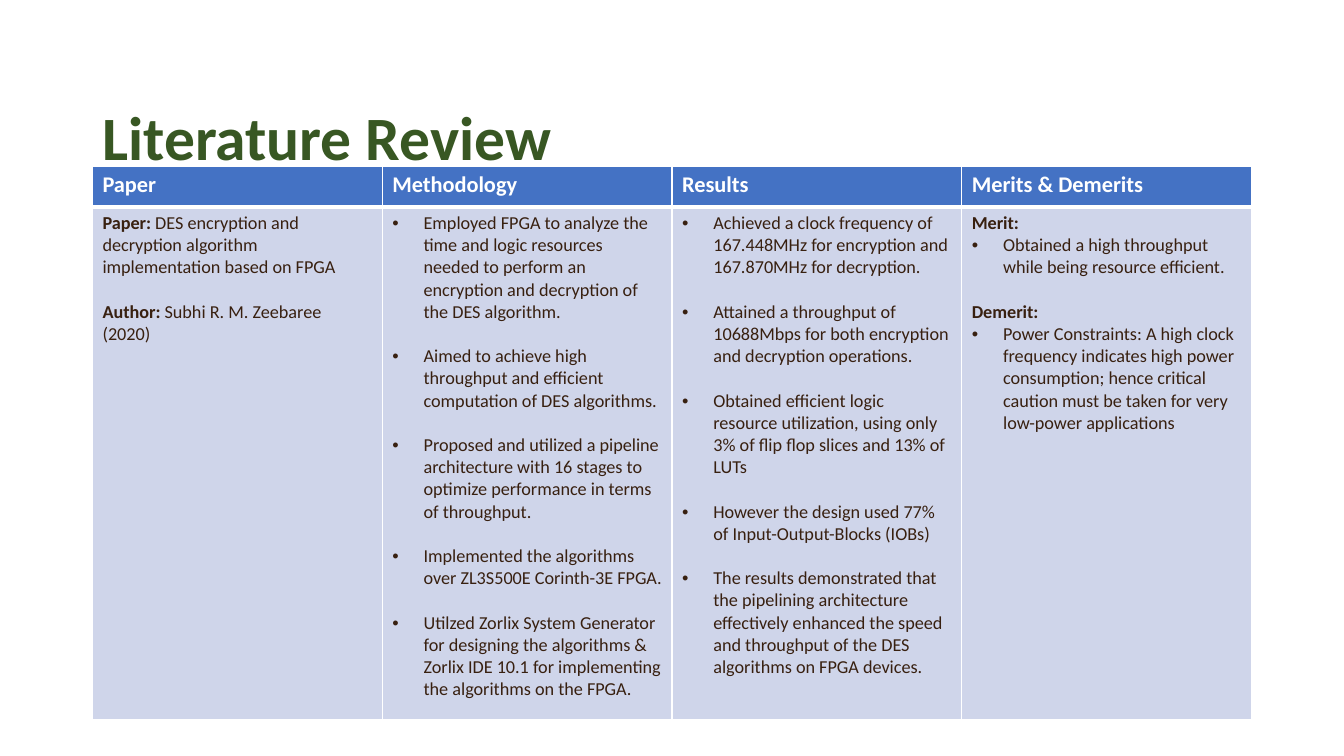
"""Build the literature review slide: a title above a four-column table."""
from lxml import etree
from pptx import Presentation
from pptx.dml.color import RGBColor
from pptx.enum.text import MSO_ANCHOR
from pptx.oxml.ns import qn
from pptx.util import Cm, Pt

MIDDLE = MSO_ANCHOR.MIDDLE
FONT = "Calibri"
COLORS = {
    "title": "385723",
    "head": "4472C4",
    "body": "CFD5EA",
    "text": "382010",
    "white": "FFFFFF",
}
GAP = Pt(15.9)
INDENT = Cm(0.79)

HEADS = ["Paper", "Methodology", "Results", "Merits & Demerits"]
METHODS = [
    "Employed FPGA to analyze the time and logic resources needed to perform an "
    "encryption and decryption of the DES algorithm.",
    "Aimed to achieve high throughput and efficient computation of DES algorithms.",
    "Proposed and utilized a pipeline architecture with 16 stages to optimize "
    "performance in terms of throughput.",
    "Implemented the algorithms over ZL3S500E Corinth-3E FPGA.",
    "Utilzed Zorlix System Generator for designing the algorithms & "
    "Zorlix IDE 10.1 for implementing the algorithms on the FPGA.",
]
RESULTS = [
    "Achieved a clock frequency of 167.448MHz for encryption and 167.870MHz for "
    "decryption.",
    "Attained a throughput of 10688Mbps for both encryption and decryption operations.",
    "Obtained efficient logic resource utilization, using only 3% of flip flop "
    "slices and 13% of LUTs",
    "However the design used 77% of Input-Output-Blocks (IOBs)",
    "The results demonstrated that the pipelining architecture effectively enhanced "
    "the speed and throughput of the DES algorithms on FPGA devices.",
]
MERIT = "Obtained a high throughput while being resource efficient."
DEMERIT = (
    "Power Constraints: A high clock frequency indicates high power consumption; "
    "hence critical caution must be taken for very low-power applications"
)

# Each paragraph: bold part, plain part, bullet, gap above
BODY = [
    [
        ("Paper: ", "DES encryption and decryption algorithm implementation "
                    "based on FPGA", False, False),
        ("Author: ", "Subhi R. M. Zeebaree (2020)", False, True),
    ],
    [("", text, True, i > 0) for i, text in enumerate(METHODS)],
    [("", text, True, i > 0) for i, text in enumerate(RESULTS)],
    [
        ("Merit:", "", False, False),
        ("", MERIT, True, False),
        ("Demerit:", "", False, True),
        ("", DEMERIT, True, False),
    ],
]


def add_run(para, text, size, color, bold):
    run = para.add_run()
    run.text = text
    run.font.name = FONT
    run.font.size = Pt(size)
    run.font.bold = bold
    run.font.color.rgb = RGBColor.from_string(COLORS[color])


def style_cell(cell, fill, top, bottom):
    props = cell._tc.get_or_add_tcPr()
    for side, width in (("L", 1), ("R", 1), ("T", top), ("B", bottom)):
        line = etree.SubElement(props, qn(f"a:ln{side}"), w=str(Pt(width)))
        paint = etree.SubElement(line, qn("a:solidFill"))
        etree.SubElement(paint, qn("a:srgbClr"), val=COLORS["white"])
    cell.fill.solid()
    cell.fill.fore_color.rgb = RGBColor.from_string(COLORS[fill])


deck = Presentation()
deck.slide_width = Cm(33.87)
deck.slide_height = Cm(19.05)
slide = deck.slides.add_slide(deck.slide_layouts[6])

left, width = Cm(2.33), Cm(29.21)
title = slide.shapes.add_textbox(left, Cm(1.7), width, Cm(3.68)).text_frame
title.word_wrap = True
title.vertical_anchor = MIDDLE
title.paragraphs[0].line_spacing = 0.9
add_run(title.paragraphs[0], "Literature Review", 44, "title", True)

table = slide.shapes.add_table(2, len(HEADS), left, Cm(4.19), width, Cm(13.94)).table
table.rows[0].height = Cm(1.03)
table.rows[1].height = Cm(12.91)

for col, (head, items) in enumerate(zip(HEADS, BODY)):
    table.columns[col].width = width // len(HEADS)
    cell = table.cell(0, col)
    style_cell(cell, "head", 1, 3)
    add_run(cell.text_frame.paragraphs[0], head, 16, "white", True)

    cell = table.cell(1, col)
    style_cell(cell, "body", 3, 1)
    frame = cell.text_frame
    for i, (label, text, bullet, gap) in enumerate(items):
        para = frame.add_paragraph() if i else frame.paragraphs[0]
        if bullet:
            props = para._p.get_or_add_pPr()
            props.set("marL", str(INDENT))
            props.set("indent", str(-INDENT))
            etree.SubElement(props, qn("a:buFont"), typeface="Arial")
            etree.SubElement(props, qn("a:buChar"), char="•")
        if gap:
            para.space_before = GAP
        for part, bold in ((label, True), (text, False)):
            if part:
                add_run(para, part, 13, "text", bold)

deck.save("out.pptx")
